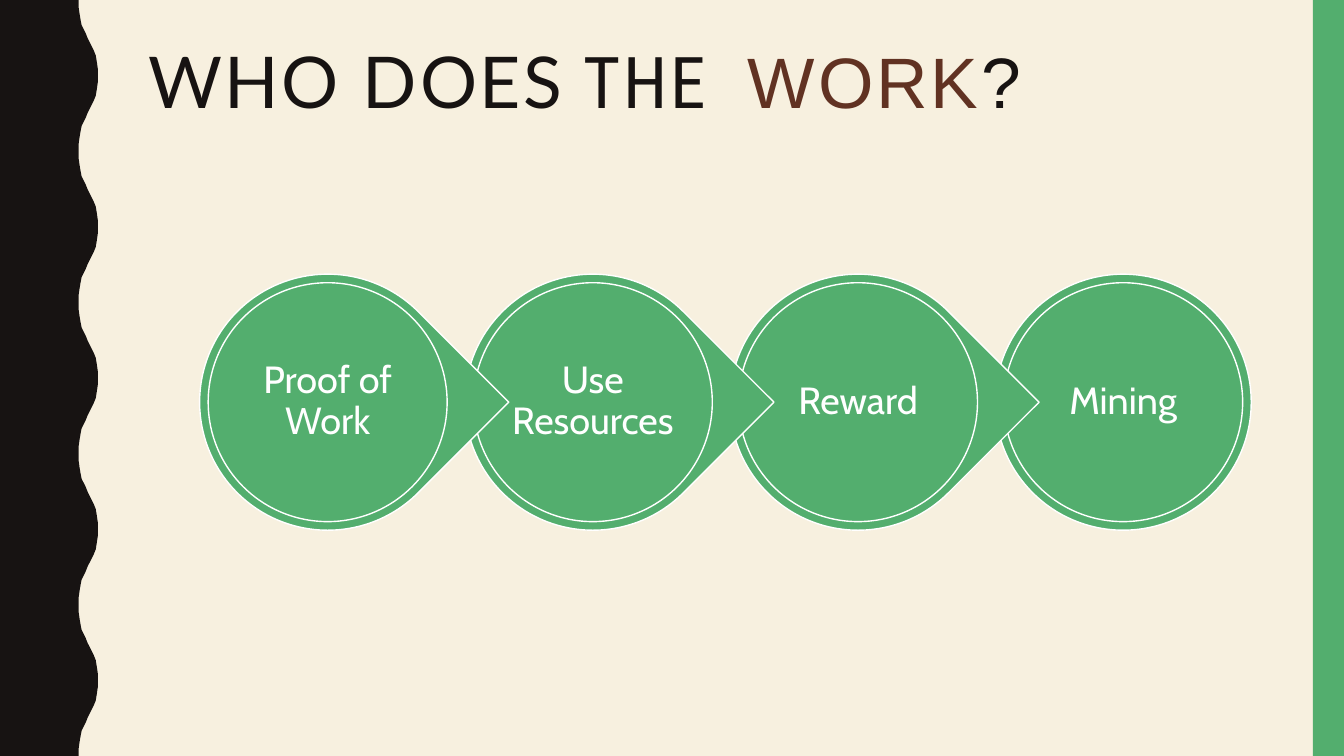
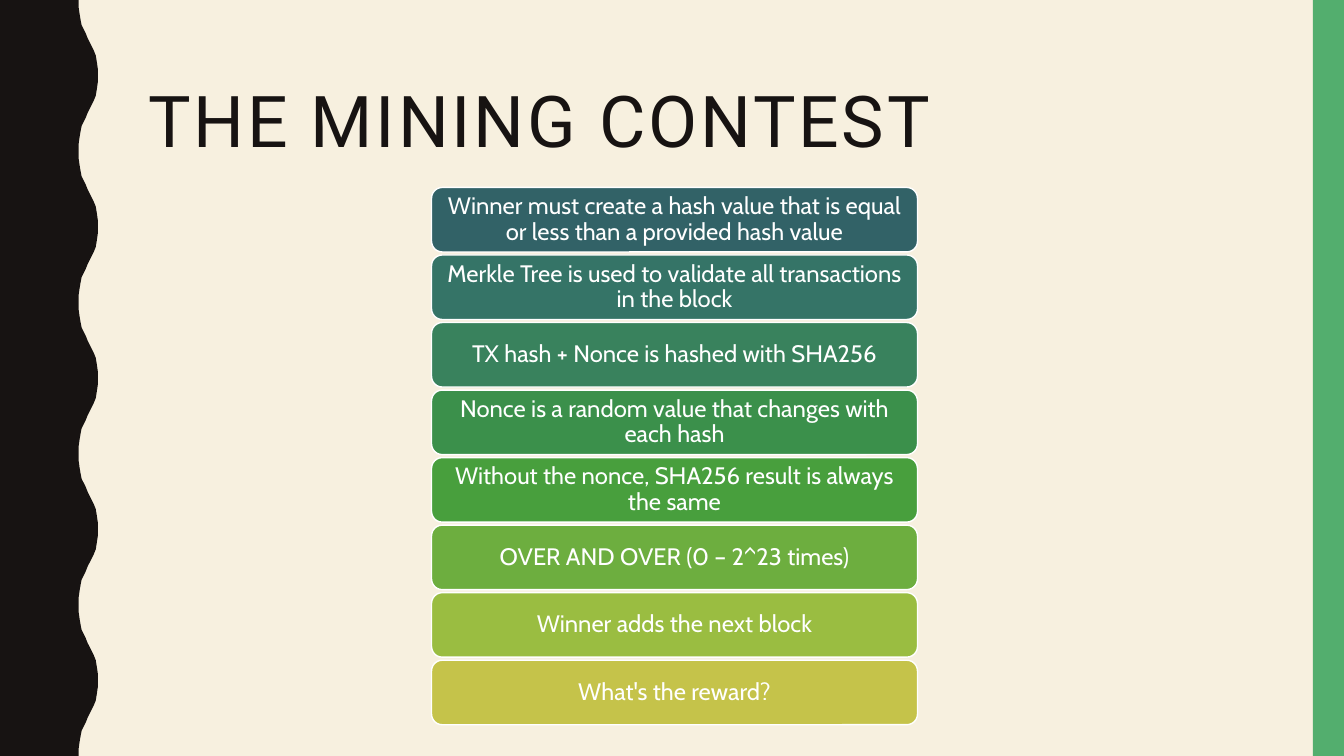
"""Build two slides on the work and the contest behind mining."""
from dataclasses import dataclass

from pptx import Presentation
from pptx.dml.color import RGBColor
from pptx.enum.shapes import MSO_SHAPE
from pptx.enum.text import MSO_ANCHOR, PP_ALIGN
from pptx.util import Inches, Pt


@dataclass(frozen=True)
class Theme:
    background: str = "F7F0DF"
    dark: str = "171312"
    green: str = "53AE6E"
    brown: str = "613222"
    white: str = "FFFFFF"
    title_font: str = "Roboto"
    body_font: str = "Cabin"
    title_size: int = 51
    circle_size: int = 27
    bar_size: int = 17
    title_spacing: int = 2


THEME = Theme()
WIDTH, HEIGHT = 13.33, 7.5
WAVE_LENGTH = 1.5
HALF_WAVE = [
    (0.78, 0), (0.78, 0.07), (0.79, 0.14), (0.8, 0.2), (0.81, 0.25),
    (0.83, 0.29), (0.85, 0.33), (0.87, 0.38), (0.89, 0.42), (0.91, 0.46),
    (0.93, 0.5), (0.95, 0.55), (0.96, 0.61), (0.97, 0.68), (0.97, 0.75),
]
STEPS = ["Proof of Work", "Use Resources", "Reward", "Mining"]
RULES = [
    ("Winner must create a hash value that is equal or less than a provided hash value", "326267"),
    ("Merkle Tree is used to validate all transactions in the block", "357467"),
    ("TX hash + Nonce is hashed with SHA256", "39825D"),
    ("Nonce is a random value that changes with each hash", "3B904B"),
    ("Without the nonce, SHA256 result is always the same", "489F3D"),
    ("OVER AND OVER (0 – 2^23 times)", "6DAE3F"),
    ("Winner adds the next block", "9ABD41"),
    ("What's the reward?", "C5C34A"),
]


def add_run(paragraph, text, *, font, size, color, spacing=0):
    run = paragraph.add_run()
    run.text = text
    run.font.name = font
    run.font.size = Pt(size)
    run.font.color.rgb = RGBColor.from_string(color)
    if spacing:
        run._r.get_or_add_rPr().set("spc", str(spacing * 100))


class Deck:
    def __init__(self, theme):
        self.theme = theme
        self.slide = None
        self.presentation = Presentation()
        self.presentation.slide_width = Inches(WIDTH)
        self.presentation.slide_height = Inches(HEIGHT)
        fill = self.presentation.slide_master.background.fill
        fill.solid()
        fill.fore_color.rgb = RGBColor.from_string(theme.background)

    def new_slide(self):
        self.slide = self.presentation.slides.add_slide(self.presentation.slide_layouts[6])
        self.wave()
        self.shape(MSO_SHAPE.RECTANGLE, 13.02, 0, 0.31, HEIGHT, self.theme.green, outlined=False)

    def paint(self, shape, color, outlined):
        shape.shadow.inherit = False
        shape.fill.solid()
        shape.fill.fore_color.rgb = RGBColor.from_string(color)
        if outlined:
            shape.line.color.rgb = RGBColor.from_string(self.theme.white)
            shape.line.width = Pt(1)
        else:
            shape.line.fill.background()

    def wave(self):
        full_wave = HALF_WAVE + [(x, WAVE_LENGTH - y) for x, y in reversed(HALF_WAVE[:-1])]
        edge = [
            (x, y + number * WAVE_LENGTH)
            for number in range(round(HEIGHT / WAVE_LENGTH))
            for x, y in full_wave
        ]
        builder = self.slide.shapes.build_freeform(0, 0)
        builder.add_line_segments([(Inches(x), Inches(y)) for x, y in edge + [(0, HEIGHT)]])
        self.paint(builder.convert_to_shape(), self.theme.dark, outlined=False)

    def shape(self, kind, left, top, width, height, color, outlined=True):
        shape = self.slide.shapes.add_shape(
            kind, Inches(left), Inches(top), Inches(width), Inches(height))
        self.paint(shape, color, outlined)
        return shape

    def label(self, shape, text, size, side=0, edge=0):
        frame = shape.text_frame
        frame.word_wrap = True
        frame.vertical_anchor = MSO_ANCHOR.MIDDLE
        frame.margin_left = frame.margin_right = Inches(side)
        frame.margin_top = frame.margin_bottom = Inches(edge)
        paragraph = frame.paragraphs[0]
        paragraph.alignment = PP_ALIGN.CENTER
        paragraph.line_spacing = 0.9
        add_run(paragraph, text, font=self.theme.body_font, size=size, color=self.theme.white)

    def title(self, parts, anchor):
        box = self.slide.shapes.add_textbox(Inches(1.37), Inches(0.42), Inches(11.13), Inches(1.63))
        frame = box.text_frame
        frame.word_wrap = True
        frame.vertical_anchor = anchor
        paragraph = frame.paragraphs[0]
        paragraph.line_spacing = 0.9
        base = dict(font=self.theme.title_font, size=self.theme.title_size,
                    color=self.theme.dark, spacing=self.theme.title_spacing)
        for text, changes in parts:
            add_run(paragraph, text, **{**base, **changes})

    def circle_chain(self, steps):
        diameter, ring, top, pitch = 2.54, 0.085, 2.72, 2.63
        inner = diameter - 2 * ring
        for index in reversed(range(len(steps))):
            left = 1.98 + index * pitch
            is_last = index == len(steps) - 1
            kind = MSO_SHAPE.OVAL if is_last else MSO_SHAPE.TEAR
            outer = self.shape(kind, left, top, diameter, diameter, self.theme.green)
            outer.rotation = 0 if is_last else 45
            circle = self.shape(
                MSO_SHAPE.OVAL, left + ring, top + ring, inner, inner, self.theme.green)
            self.label(circle, steps[index], self.theme.circle_size)

    def bar_stack(self, rules):
        for index, (text, color) in enumerate(rules):
            bar = self.shape(
                MSO_SHAPE.ROUNDED_RECTANGLE, 4.28, 1.86 + index * 0.67, 4.82, 0.64, color)
            self.label(bar, text, self.theme.bar_size, side=0.07, edge=0.04)


def main():
    deck = Deck(THEME)

    deck.new_slide()
    deck.title([
        ("WHO DOES", {"font": "Lato"}),
        (" THE", {"font": "Roboto Condensed"}),
        (" ", {"font": "Roboto Condensed", "spacing": 16}),
        ("WORK", {"font": "Arial", "color": THEME.brown}),
        ("?", {"font": "Arial"}),
    ], MSO_ANCHOR.TOP)
    deck.circle_chain(STEPS)

    deck.new_slide()
    deck.title([("THE MINING CONTEST", {})], MSO_ANCHOR.MIDDLE)
    deck.bar_stack(RULES)

    deck.presentation.save("out.pptx")


if __name__ == "__main__":
    main()
